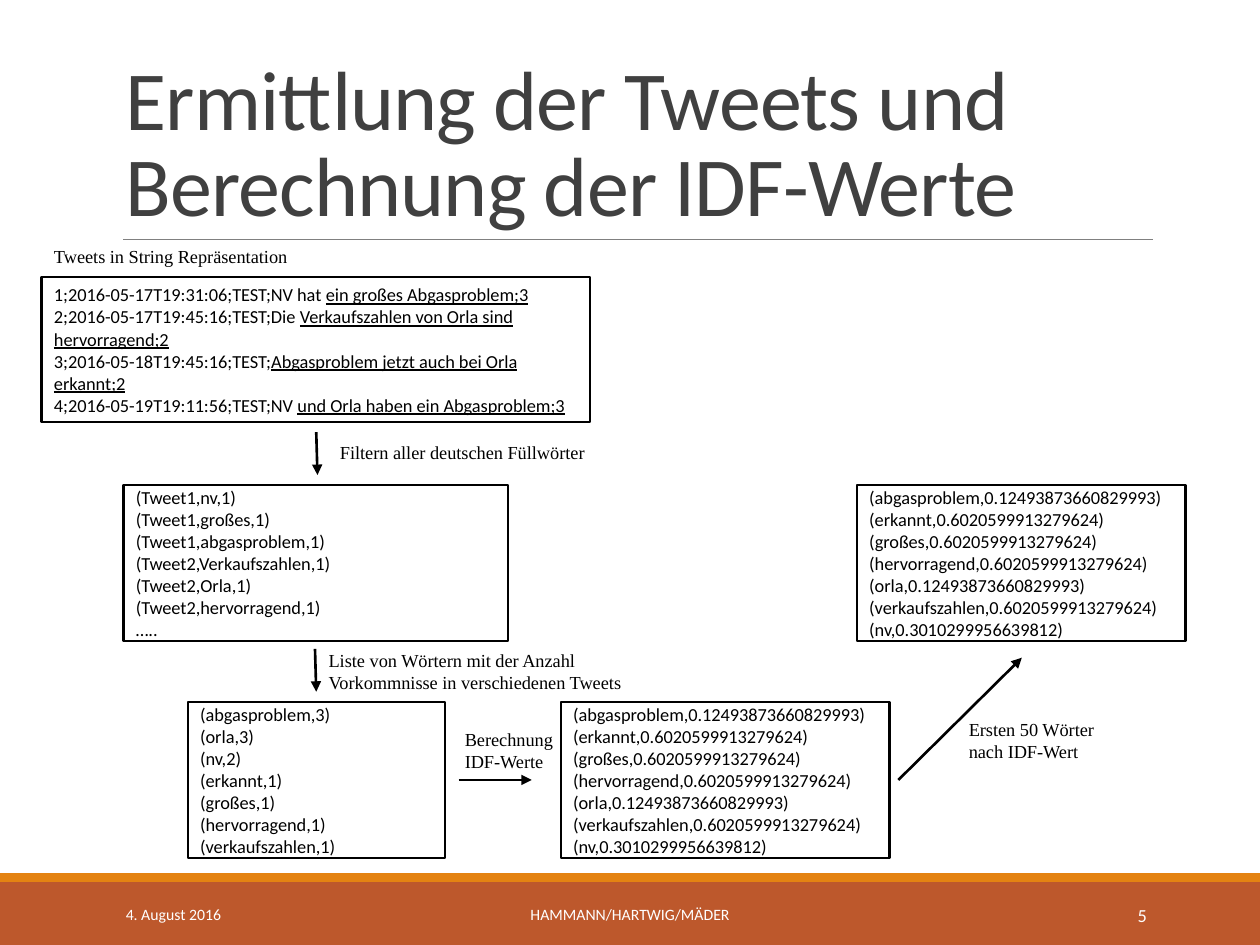
from lxml.etree import SubElement as Sub
from pptx import Presentation
from pptx.dml.color import RGBColor as Color
from pptx.enum.shapes import MSO_CONNECTOR as Link, MSO_SHAPE as Shape
from pptx.enum.text import MSO_ANCHOR as Anchor, PP_ALIGN as Align
from pptx.oxml.ns import qn
from pptx.util import Inches, Pt

BLACK = Color(0, 0, 0)
WHITE = Color(255, 255, 255)
DARK = Color(0x40, 0x40, 0x40)
GRAY = Color(0x80, 0x80, 0x80)
RUST = Color(0xBD, 0x58, 0x2C)
ORANGE = Color(0xE4, 0x83, 0x12)
SANS = "Calibri"
SERIF = "Times New Roman"

TWEETS = [
    ("1;2016-05-17T19:31:06;TEST;NV hat ", "ein großes Abgasproblem;3"),
    ("2;2016-05-17T19:45:16;TEST;Die ", "Verkaufszahlen von Orla sind hervorragend;2"),
    ("3;2016-05-18T19:45:16;TEST;", "Abgasproblem jetzt auch bei Orla erkannt;2"),
    ("4;2016-05-19T19:11:56;TEST;NV ", "und Orla haben ein Abgasproblem;3"),
]
WORDS = ["(Tweet1,nv,1)", "(Tweet1,großes,1)", "(Tweet1,abgasproblem,1)",
         "(Tweet2,Verkaufszahlen,1)", "(Tweet2,Orla,1)",
         "(Tweet2,hervorragend,1)", "….."]
COUNTS = ["(abgasproblem,3)", "(orla,3)", "(nv,2)", "(erkannt,1)",
          "(großes,1)", "(hervorragend,1)", "(verkaufszahlen,1)"]
SCORES = ["(abgasproblem,0.12493873660829993)", "(erkannt,0.6020599913279624)",
          "(großes,0.6020599913279624)", "(hervorragend,0.6020599913279624)",
          "(orla,0.12493873660829993)", "(verkaufszahlen,0.6020599913279624)",
          "(nv,0.3010299956639812)"]
BOXES = [
    ((0.33, 2.2, 4.35, 1.15), TWEETS),
    ((0.98, 3.85, 3.05, 1.24), WORDS),
    ((1.49, 5.57, 2.04, 1.24), COUNTS),
    ((6.8, 3.85, 2.61, 1.24), SCORES),
    ((4.45, 5.57, 2.61, 1.24), SCORES),
]
ARROWS = [
    ((2.51, 3.43), (2.52, 3.77)),
    ((2.5, 5.15), (2.51, 5.49)),
    ((3.64, 6.19), (4.22, 6.19)),
    ((7.13, 6.19), (8.11, 5.22)),
]
LABELS = [
    ((0.33, 1.9, 2.09, 0.28), ["Tweets in String Repräsentation"]),
    ((2.6, 3.45, 2.17, 0.28), ["Filtern aller deutschen Füllwörter"]),
    ((2.51, 5.1, 2.59, 0.45), ["Liste von Wörtern mit der Anzahl",
                               "Vorkommnisse in verschiedenen Tweets"]),
    ((3.59, 5.73, 0.91, 0.45), ["Berechnung", "IDF-Werte"]),
    ((7.59, 5.65, 1.21, 0.45), ["Ersten 50 Wörter", "nach IDF-Wert"]),
]
FOOTER = [
    ((0.9, 7.06, 2.03, 0.4), "4. August 2016", 9, Align.LEFT),
    ((3.02, 7.06, 3.96, 0.4), "HAMMANN/HARTWIG/MÄDER", 9, Align.CENTER),
    ((8.12, 7.06, 1.08, 0.4), "5", 10.5, Align.RIGHT),
]


def write(shape, lines, size=10.5, font=SANS, color=BLACK, align=Align.LEFT,
          anchor=Anchor.MIDDLE, wrap=True, lead=None, track=None):
    frame = shape.text_frame
    frame.word_wrap = wrap
    frame.vertical_anchor = anchor
    for row, line in enumerate(lines):
        para = frame.add_paragraph() if row else frame.paragraphs[0]
        para.alignment = align
        if lead:
            para.line_spacing = lead
        parts = (line,) if isinstance(line, str) else line
        for col, part in enumerate(parts):
            run = para.add_run()
            run.text = part
            run.font.size = Pt(size)
            run.font.name = font
            run.font.color.rgb = color
            if col:
                run.font.underline = True
            if track:
                run.font._element.set("spc", str(int(track * 100)))


def add_text(slide, place, lines, **style):
    box = slide.shapes.add_textbox(*map(Inches, place))
    write(box, lines, **style)


def add_rect(slide, place, fill, line=None):
    rect = slide.shapes.add_shape(Shape.RECTANGLE, *map(Inches, place))
    rect.shadow.inherit = False
    rect.fill.solid()
    rect.fill.fore_color.rgb = fill
    if line is None:
        rect.line.fill.background()
    else:
        rect.line.color.rgb = line
        rect.line.width = Pt(1.25)
    return rect


def add_line(slide, start, end, color=BLACK, width=1.5, arrow=True):
    line = slide.shapes.add_connector(Link.STRAIGHT, *map(Inches, start + end))
    line.line.color.rgb = color
    line.line.width = Pt(width)
    if arrow:
        Sub(line.line._get_or_add_ln(), qn("a:tailEnd"), type="triangle")
    Sub(line._element.spPr, qn("a:effectLst"))


def main():
    deck = Presentation()
    deck.slide_width = Inches(10)
    deck.slide_height = Inches(7.5)
    slide = deck.slides.add_slide(deck.slide_layouts[6])

    add_rect(slide, (0, 7, 10, 0.5), RUST)
    add_rect(slide, (0, 6.93, 10, 0.07), ORANGE)
    add_line(slide, (0.98, 1.9), (9.15, 1.9), color=GRAY, width=0.5, arrow=False)
    add_text(slide, (0.9, 0.31, 8.25, 1.59),
             ["Ermittlung der Tweets und Berechnung der IDF-Werte"],
             size=48, color=DARK, anchor=Anchor.BOTTOM, lead=0.85, track=-0.5)

    for place, lines in BOXES:
        write(add_rect(slide, place, WHITE, BLACK), lines)
    for start, end in ARROWS:
        add_line(slide, start, end)
    for place, lines in LABELS:
        add_text(slide, place, lines, font=SERIF, anchor=Anchor.TOP, wrap=False)
    for place, text, size, align in FOOTER:
        add_text(slide, place, [text], size=size, color=WHITE, align=align)

    deck.save("out.pptx")


main()
